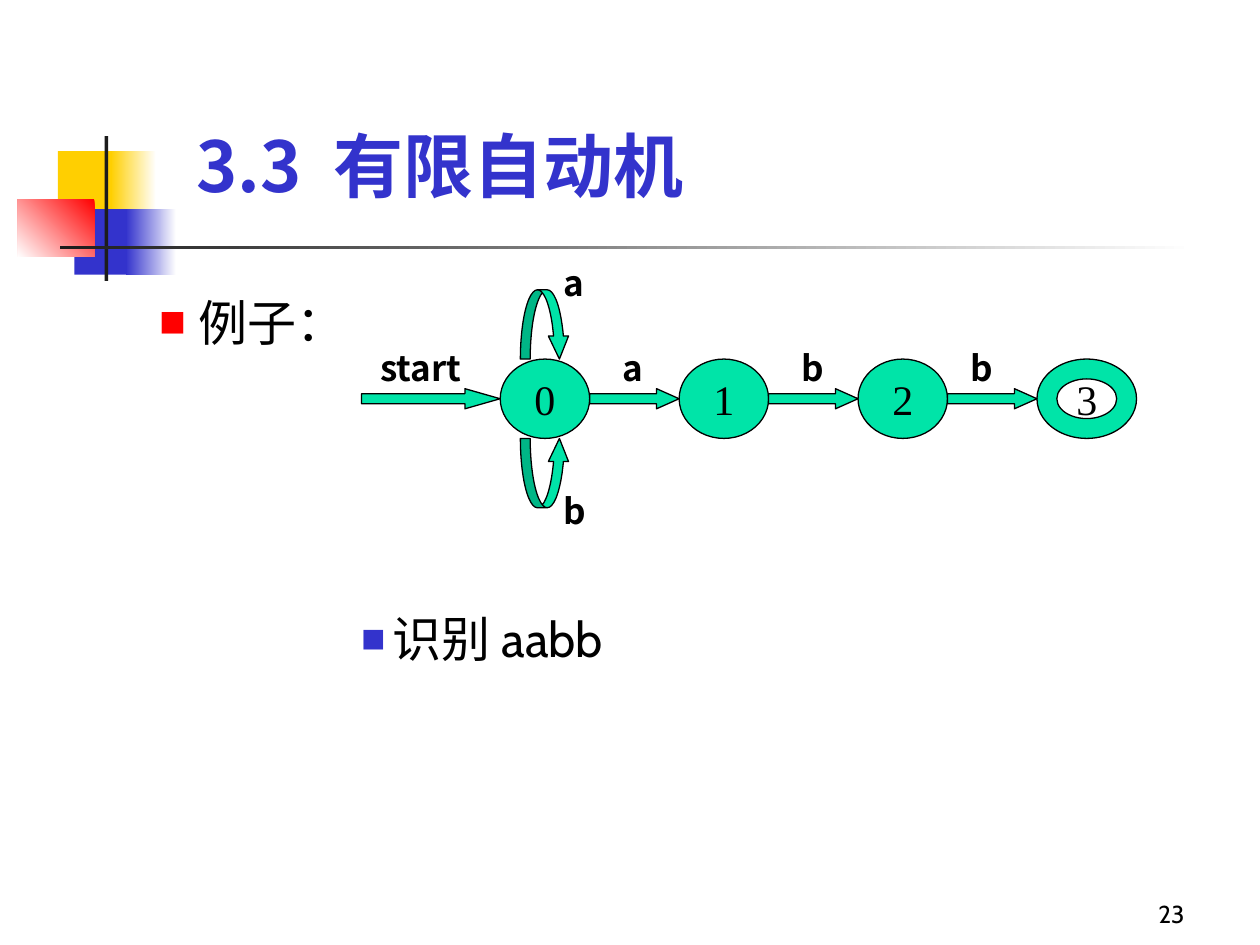
import pptx
import pptx.util
import pptx.dml.color
import pptx.enum.shapes
import pptx.enum.text
import pptx.oxml.ns
from lxml import etree

Inches, Pt = pptx.util.Inches, pptx.util.Pt
RGBColor = pptx.dml.color.RGBColor
SHAPE = pptx.enum.shapes.MSO_SHAPE
ANCHOR = pptx.enum.text.MSO_ANCHOR
ALIGN = pptx.enum.text.PP_ALIGN
qn = pptx.oxml.ns.qn

WHITE = RGBColor(0xFF, 0xFF, 0xFF)
BLACK = RGBColor(0, 0, 0)
YELLOW = RGBColor(0xFF, 0xCF, 0x01)
BLUE = RGBColor(0x33, 0x33, 0xCC)
RED = RGBColor(0xFF, 0, 0)
DARK = RGBColor(0x1C, 0x1C, 0x1C)
GREEN = RGBColor(0, 0xE4, 0xA8)
SANS, BODY, SERIF = "Noto Sans CJK SC", "Cabin", "Times New Roman"

DECOR = [
    ((0.46, 1.2, 0.48, 0.52), YELLOW, None),
    ((0.88, 1.2, 0.36, 0.52), (WHITE, YELLOW), 180),
    ((0.59, 1.66, 0.46, 0.52), BLUE, None),
    ((1, 1.66, 0.4, 0.52), (WHITE, BLUE), 180),
    ((0.14, 1.58, 0.61, 0.46), (RED, WHITE), 225),
    ((0.83, 1.08, 0.03, 1.15), DARK, None),
    ((0.48, 1.95, 9, 0.03), (WHITE, DARK), 180),
]
TITLE = ("3.3  有限自动机", (1.46, 0.76, 7.46, 0.93))
PAGE = ("23", (7.42, 6.92, 2.08, 0.5))
BULLETS = [
    ("例子：", (0.67, 2.18, 8.58, 0.71), 0.81, -0.31, RED, 55),
    ("识别 aabb", (1.77, 4.69, 7.32, 0.71), 1.25, -0.25, BLUE, 50),
]
STATES = ["0", "1", "2", "3"]
STATE_X, STATE_Y, STATE_W, STATE_H = 3.97, 2.85, 0.71, 0.63
FINAL_W, STEP, ARROW_H, START_W = 0.79, 1.42, 0.16, 1.1
LABELS = [
    ("start", 2.79, 2.69, 1.1),
    ("a", 4.84, 2.69, 0.32),
    ("b", 6.26, 2.69, 0.32),
    ("b", 7.6, 2.69, 0.32),
    ("b", 4.37, 3.83, 0.32),
    ("a", 4.37, 2.02, 0.32),
]
LOOPS = [(SHAPE.CURVED_DOWN_ARROW, 2.3), (SHAPE.CURVED_UP_ARROW, 3.48)]

prs = pptx.Presentation()
prs.slide_width, prs.slide_height = Inches(10), Inches(7.5)
s = prs.slides.add_slide(prs.slide_layouts[6])


def add_shape(kind, box, fill, angle=None, line=None, adj=()):
    sp = s.shapes.add_shape(kind, *map(Inches, box))
    sp.shadow.inherit = False
    if angle is None:
        sp.fill.solid()
        sp.fill.fore_color.rgb = fill
    else:
        sp.fill.gradient()
        sp.fill.gradient_angle = angle
        for stop, color, pos in zip(sp.fill.gradient_stops, fill, (0, 1)):
            stop.color.rgb = color
            stop.position = pos
    if line is None:
        sp.line.fill.background()
    else:
        sp.line.color.rgb = line
        sp.line.width = Pt(0.75)
    for i, value in enumerate(adj):
        sp.adjustments[i] = value
    return sp


def write(sp, text, font, size, color=BLACK, bold=False, anchor=ANCHOR.BOTTOM, wrap=True, **layout):
    tf = sp.text_frame
    tf.word_wrap = wrap
    tf.vertical_anchor = anchor
    p = tf.paragraphs[0]
    for name, value in layout.items():
        setattr(p, name, value)
    r = p.add_run()
    r.text = text
    for name, value in {"name": font, "size": Pt(size), "bold": bold}.items():
        setattr(r.font, name, value)
    r.font.color.rgb = color
    etree.SubElement(r._r.get_or_add_rPr(), qn("a:ea")).set("typeface", SANS)
    return p


def add_text(text, box, *args, **kwargs):
    return write(s.shapes.add_textbox(*map(Inches, box)), text, *args, **kwargs)


def add_bullet(p, margin, indent, color, percent):
    pPr = p._p.get_or_add_pPr()
    pPr.set("marL", str(Inches(margin)))
    pPr.set("indent", str(Inches(indent)))
    clr = etree.SubElement(pPr, qn("a:buClr"))
    etree.SubElement(clr, qn("a:srgbClr")).set("val", str(color))
    etree.SubElement(pPr, qn("a:buSzPct")).set("val", str(percent * 1000))
    etree.SubElement(pPr, qn("a:buFont")).set("typeface", SANS)
    etree.SubElement(pPr, qn("a:buChar")).set("char", "■")


for box, fill, angle in DECOR:
    add_shape(SHAPE.RECTANGLE, box, fill, angle)

add_text(*TITLE, SANS, 40, BLUE, True)

for text, box, margin, indent, color, percent in BULLETS:
    p = add_text(text, box, BODY, 28, anchor=ANCHOR.TOP, line_spacing=1.2, space_before=Pt(7))
    add_bullet(p, margin, indent, color, percent)

arrow_y = STATE_Y + (STATE_H - ARROW_H) / 2
for i, name in enumerate(STATES):
    x = STATE_X + i * STEP
    final = i == len(STATES) - 1
    kind, width, adj = (SHAPE.DONUT, FINAL_W, [0.25]) if final else (SHAPE.OVAL, STATE_W, [])
    sp = add_shape(kind, (x, STATE_Y, width, STATE_H), GREEN, line=BLACK, adj=adj)
    write(sp, name, SERIF, 24, anchor=ANCHOR.MIDDLE, wrap=False, alignment=ALIGN.CENTER)
    length, head = (STEP - STATE_W, 1.12) if i else (START_W, 1.75)
    add_shape(SHAPE.RIGHT_ARROW, (x - length, arrow_y, length, ARROW_H), GREEN,
              line=BLACK, adj=[0.5, head])

for kind, y in LOOPS:
    add_shape(kind, (4.13, y, 0.39, 0.55), GREEN, line=BLACK, adj=[0.2, 0.41, 0.47])

for text, x, y, width in LABELS:
    add_text(text, (x, y, width, 0.44), SANS, 20, bold=True,
             alignment=ALIGN.CENTER, space_before=Pt(12.5))

add_text(*PAGE, BODY, 14, alignment=ALIGN.RIGHT)

prs.save("out.pptx")
